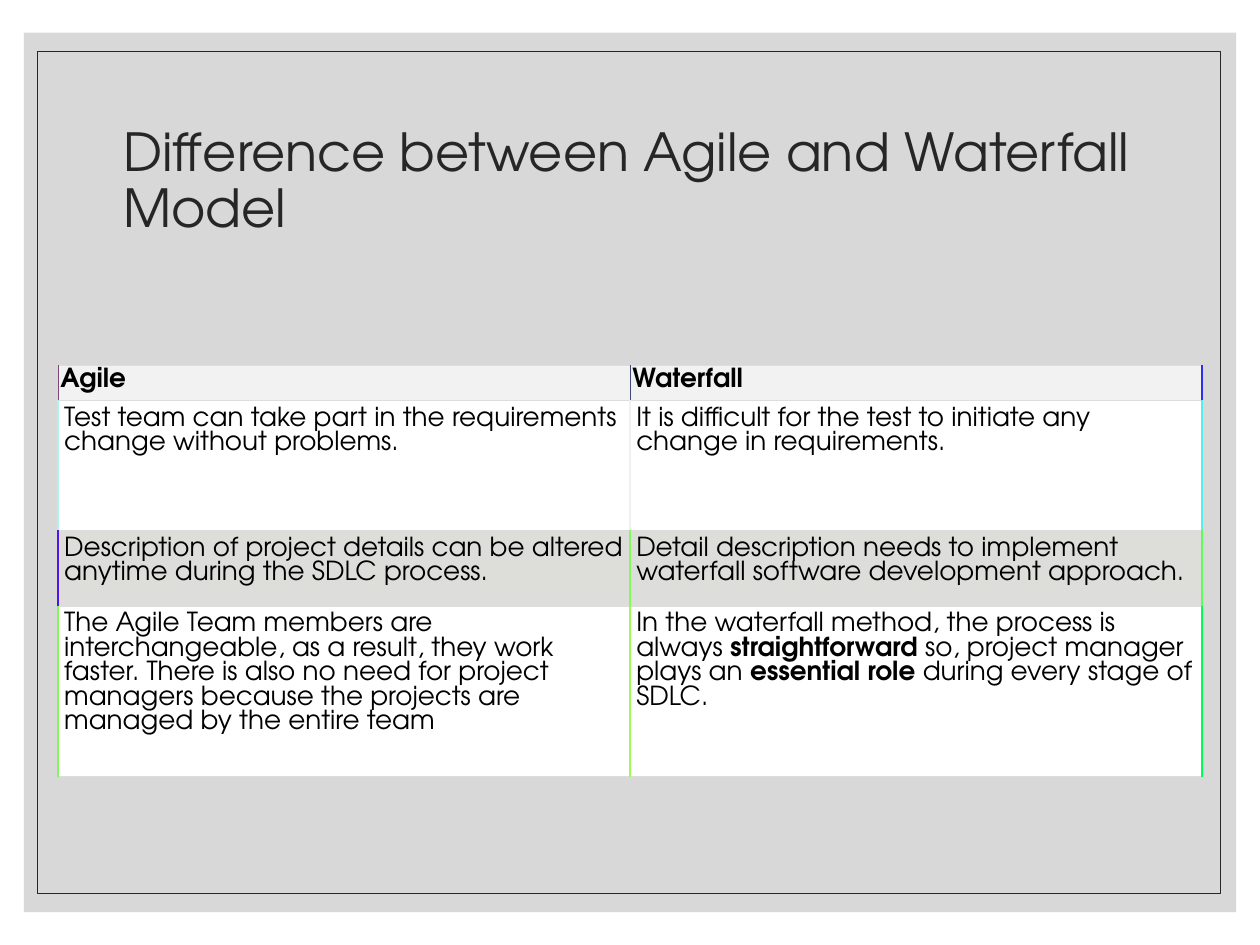
from dataclasses import dataclass
from typing import NamedTuple

from lxml.etree import SubElement
from pptx import Presentation
from pptx.dml.color import RGBColor
from pptx.enum.shapes import MSO_SHAPE
from pptx.enum.text import MSO_ANCHOR
from pptx.oxml.ns import qn
from pptx.util import Inches, Pt


@dataclass(frozen=True)
class Theme:
    font: str = "TeX Gyre Adventor"
    ink: str = "262626"
    text: str = "000000"
    panel: str = "BFBFBF"
    panel_opacity: int = 60
    grid: str = "DDDDDD"
    header: str = "F2F2F2"
    plain: str = "FFFFFF"
    band: str = "DDDDD9"
    title_size: float = 30
    table_size: float = 15
    thin: float = 0.6
    thick: float = 1


class Run(NamedTuple):
    text: str
    bold: bool = False


class Edge(NamedTuple):
    color: str
    width: float


class TableRow(NamedTuple):
    height: float
    fill: str
    inset: float
    edges: tuple[Edge, Edge, Edge]  # left, middle, right
    cells: tuple[list[Run], list[Run]]


THEME = Theme()


def thick_edges(*colors: str) -> tuple[Edge, ...]:
    return tuple(Edge(color, THEME.thick) for color in colors)


ROWS = [
    TableRow(0.28, THEME.header, 0.02,
             (Edge("804579", THEME.thin), Edge("404A79", THEME.thin), Edge("3030EC", THEME.thick)),
             ([Run("Agile", True)], [Run("Waterfall", True)])),
    TableRow(1.03, THEME.plain, 0.05, thick_edges("B0F1EC", "F0F1EC", "50F0EC"),
             ([Run("Test team can take part in the requirements change without problems.")],
              [Run("It is difficult for the test to initiate any change in requirements.")])),
    TableRow(0.6, THEME.band, 0.05, thick_edges("5015ED", "80FB59", "60FA59"),
             ([Run("Description of project details can be altered anytime during the SDLC process.")],
              [Run("Detail description needs to implement waterfall software development approach.")])),
    TableRow(1.35, THEME.plain, 0.05, thick_edges("80F859", "A0F959", "00FC59"),
             ([Run("The Agile Team members are interchangeable, as a result, they work faster. "
                   "There is also no need for project managers because the projects are "
                   "managed by the entire team")],
              [Run("In the waterfall method, the process is always "), Run("straightforward", True),
               Run(" so, project manager plays an "), Run("essential role ", True),
               Run("during every stage of SDLC.")])),
]


def write_text(frame, runs: list[Run], *, size: float, color: str, line_spacing) -> None:
    frame.word_wrap = True
    paragraph = frame.paragraphs[0]
    paragraph.line_spacing = line_spacing
    for item in runs:
        run = paragraph.add_run()
        run.text = item.text
        run.font.name = THEME.font
        run.font.size = Pt(size)
        run.font.bold = item.bold
        run.font.color.rgb = RGBColor.from_string(color)


def add_rectangle(slide, left: float, top: float, width: float, height: float):
    shape = slide.shapes.add_shape(MSO_SHAPE.RECTANGLE, Inches(left), Inches(top),
                                   Inches(width), Inches(height))
    shape.shadow.inherit = False
    return shape


def add_background(slide) -> None:
    panel = add_rectangle(slide, 0.19, 0.26, 9.62, 6.98)
    panel.fill.solid()
    panel.fill.fore_color.rgb = RGBColor.from_string(THEME.panel)
    panel.line.fill.background()
    for color in panel.fill._xPr.iter(qn("a:srgbClr")):
        SubElement(color, qn("a:alpha"), val=str(THEME.panel_opacity * 1000))

    frame = add_rectangle(slide, 0.3, 0.41, 9.39, 6.68)
    frame.fill.background()
    frame.line.color.rgb = RGBColor.from_string(THEME.ink)
    frame.line.width = Pt(0.5)


def add_title(slide, text: str) -> None:
    shape = slide.shapes.add_textbox(Inches(0.88), Inches(0.7), Inches(8.25), Inches(1.5))
    shape.text_frame.vertical_anchor = MSO_ANCHOR.MIDDLE
    write_text(shape.text_frame, [Run(text)], size=THEME.title_size,
               color=THEME.ink, line_spacing=0.9)


def set_borders(cell, left: Edge, right: Edge) -> None:
    grid = Edge(THEME.grid, THEME.thin)
    properties = cell._tc.get_or_add_tcPr()
    for tag, edge in (("lnL", left), ("lnR", right), ("lnT", grid), ("lnB", grid)):
        line = SubElement(properties, qn(f"a:{tag}"), w=str(Pt(edge.width)))
        SubElement(SubElement(line, qn("a:solidFill")), qn("a:srgbClr"), val=edge.color)


def add_comparison_table(slide, rows: list[TableRow]) -> None:
    height = sum(row.height for row in rows)
    table = slide.shapes.add_table(len(rows), 2, Inches(0.46), Inches(2.9),
                                   Inches(9.08), Inches(height)).table
    for row_index, row in enumerate(rows):
        table.rows[row_index].height = Inches(row.height)
        for column_index, runs in enumerate(row.cells):
            cell = table.cell(row_index, column_index)
            cell.margin_left = cell.margin_right = Inches(row.inset)
            cell.margin_top = cell.margin_bottom = Inches(row.inset)
            set_borders(cell, row.edges[column_index], row.edges[column_index + 1])
            cell.fill.solid()
            cell.fill.fore_color.rgb = RGBColor.from_string(row.fill)
            write_text(cell.text_frame, runs, size=THEME.table_size,
                       color=THEME.text, line_spacing=Pt(14))


def main() -> None:
    presentation = Presentation()
    presentation.slide_width = Inches(10)
    presentation.slide_height = Inches(7.5)
    slide = presentation.slides.add_slide(presentation.slide_layouts[6])

    # Grey panel with a thin inner frame
    add_background(slide)
    # Heading
    add_title(slide, "Difference between Agile and Waterfall Model")
    # Side-by-side comparison
    add_comparison_table(slide, ROWS)

    presentation.save("out.pptx")


if __name__ == "__main__":
    main()
